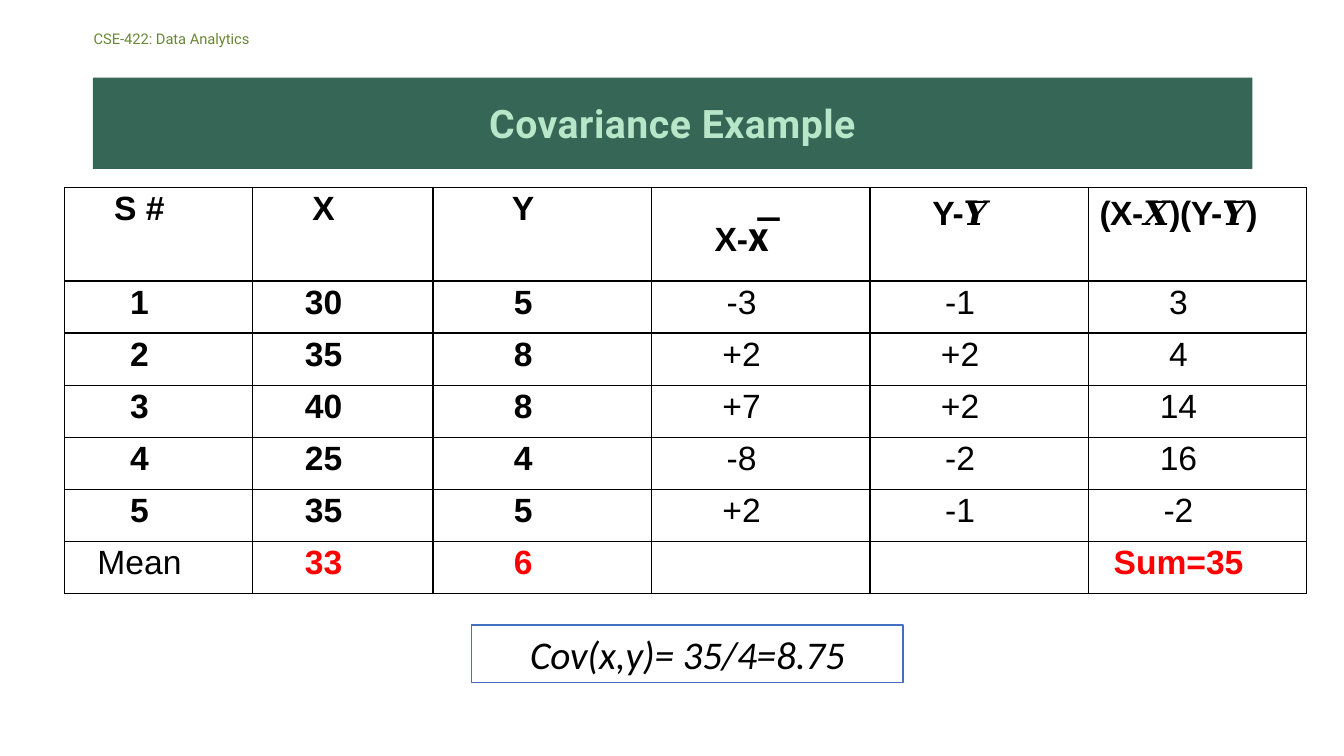
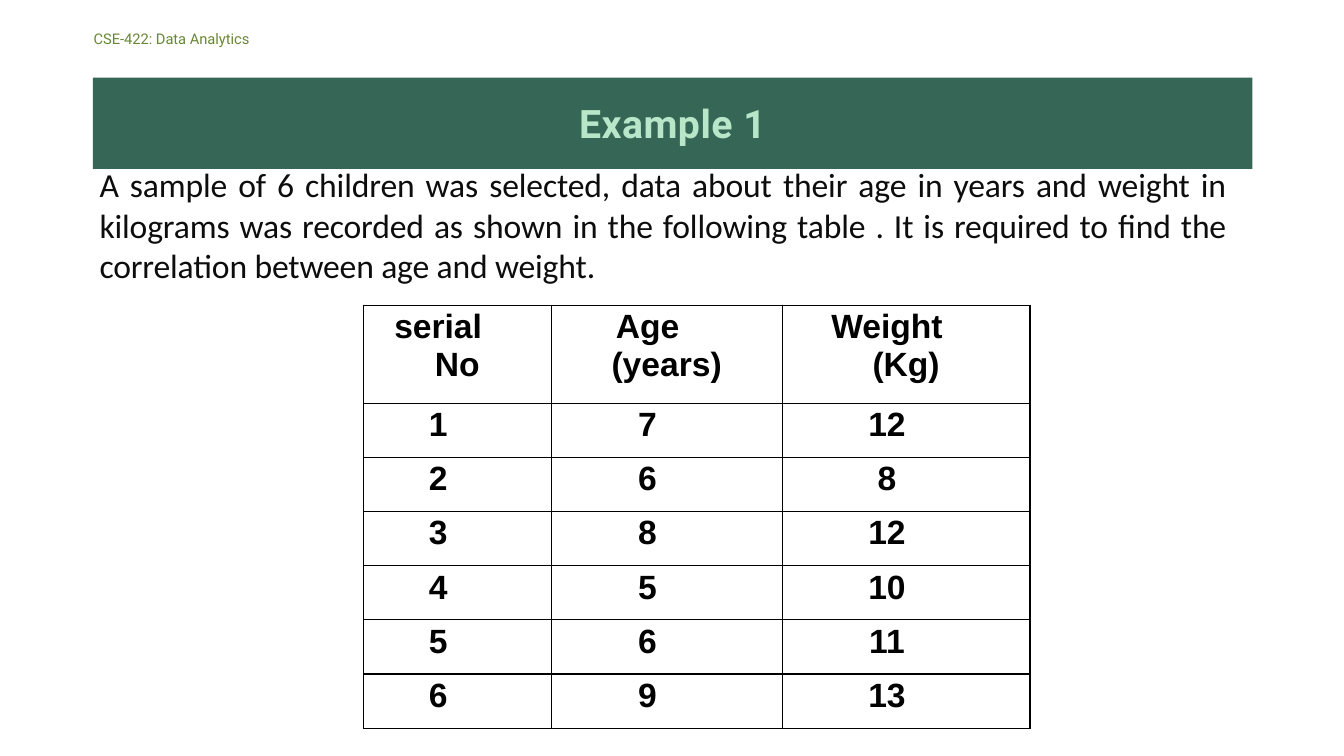
from pptx import Presentation
from pptx.dml.color import RGBColor
from pptx.enum.shapes import MSO_SHAPE as SHAPE
from pptx.enum.text import MSO_ANCHOR as ANCHOR, PP_ALIGN as ALIGN
from pptx.oxml import parse_xml
from pptx.oxml.ns import nsdecls
from pptx.util import Emu, Inches, Pt

# Grid: 32 columns by 18 rows of square units
COLS, ROWS = 32, 18
UNIT = Inches(7.5) / ROWS


def u(n):
    return Emu(round(n * UNIT))


def rgb(code):
    return RGBColor.from_string(code)


def add_run(p, text, size=24, font="Arial", color="000000", bold=False,
            italic=False, spc=0, base=0):
    r = p.add_run()
    r.text = text
    f = r.font
    f.size, f.name, f.bold, f.italic = Pt(size), font, bold, italic
    f.color.rgb = rgb(color)
    rPr = r._r.get_or_add_rPr()
    if spc:
        rPr.set("spc", str(round(spc * 100)))
    if base:
        rPr.set("baseline", str(base * 1000))


class Deck:
    BAND, MINT, OLIVE = "366656", "B8E6C9", "698737"
    BLACK, BODY, RED, BLUE = "000000", "0D0D0D", "FF0000", "4470C4"
    COURSE = "CSE-422: Data Analytics"

    def __init__(self):
        self.prs = Presentation()
        self.prs.slide_width, self.prs.slide_height = Inches(13.33), Inches(7.5)
        self.s = None

    # Slide with course name and title band
    def slide(self, title):
        self.s = self.prs.slides.add_slide(self.prs.slide_layouts[6])
        self.text(self.COURSE, 2.23, 0.72, 4.2, 0.5, size=10.5,
                  font="Roboto", color=self.OLIVE)
        self.box(2.21, 1.85, 27.6, 2.17, fill=self.BAND, text=title, size=28,
                 font="Roboto", color=self.MINT, bold=True, spc=0.4)

    def frame(self, sp, text, align, anchor, **fmt):
        tf = sp.text_frame
        tf.word_wrap = True
        tf.margin_left = tf.margin_top = tf.margin_right = tf.margin_bottom = 0
        tf.vertical_anchor = anchor
        p = tf.paragraphs[0]
        p.alignment = align
        add_run(p, text, **fmt)

    def text(self, text, x, y, w, h, align=ALIGN.LEFT, anchor=ANCHOR.TOP, **fmt):
        sp = self.s.shapes.add_textbox(u(x), u(y), u(w), u(h))
        self.frame(sp, text, align, anchor, **fmt)

    def box(self, x, y, w, h, fill=None, line=None, text=None, **fmt):
        sp = self.s.shapes.add_shape(SHAPE.RECTANGLE, u(x), u(y), u(w), u(h))
        sp.shadow.inherit = False
        if fill:
            sp.fill.solid()
            sp.fill.fore_color.rgb = rgb(fill)
        else:
            sp.fill.background()
        if line:
            sp.line.color.rgb = rgb(line)
            sp.line.width = Pt(1)
        else:
            sp.line.fill.background()
        if text:
            self.frame(sp, text, ALIGN.CENTER, ANCHOR.MIDDLE, **fmt)

    # Table cells hold lines; a line is a list of (text, format) runs
    def table(self, x, y, widths, heights, rows):
        tb = self.s.shapes.add_table(len(heights), len(widths), u(x), u(y),
                                     u(sum(widths)), u(sum(heights))).table
        tb.first_row = tb.horz_banding = False
        for col, w in zip(tb.columns, widths):
            col.width = u(w)
        for row, h in zip(tb.rows, heights):
            row.height = u(h)
        for i, row in enumerate(rows):
            for j, lines in enumerate(row):
                self.cell(tb.cell(i, j), lines)

    def cell(self, c, lines):
        c.margin_left = c.margin_bottom = 0
        c.margin_right = u(0.91)
        mixed = len(lines) == 1 and len(lines[0]) > 1
        large = mixed and any("base" in fmt for _, fmt in lines[0])
        c.margin_top = u(0 if large else 0.19 if mixed else 0.07)
        tcPr = c._tc.get_or_add_tcPr()
        for side in "LRTB":
            tcPr.append(parse_xml(
                f'<a:ln{side} {nsdecls("a")} w="12700"><a:solidFill>'
                f'<a:srgbClr val="{self.BLACK}"/></a:solidFill></a:ln{side}>'))
        c.fill.background()
        tf = c.text_frame
        for i, line in enumerate(lines):
            p = tf.add_paragraph() if i else tf.paragraphs[0]
            p.alignment = ALIGN.CENTER
            if i:  # later lines sit a little to the right
                p._p.get_or_add_pPr().set("marL", str(u(0.91)))
            for text, fmt in line:
                add_run(p, text, **fmt)


def plain(text, **fmt):
    return [[(line, fmt)] for line in text.split("\n")] if text else []


def covariance(d):
    d.slide("Covariance Example")

    # Bars over the means in the header row
    for x, w in ((22.99, 0.5), (27.31, 0.55), (29.14, 0.5)):
        d.box(x, 4.78, w, 0.05, fill=d.BLACK)

    # Header formulas
    b = dict(bold=True)
    sym = dict(font="Times New Roman")
    tight = dict(bold=True, spc=-0.3)
    head = [plain(t, **b) for t in ("S #", "X", "Y")] + [
        [[("X-", b), ("x", dict(b, size=32, font="Calibri")),
          ("̅", dict(b, size=48, font="Calibri", base=3))]],
        [[("Y-", tight), ("𝒀", sym)]],
        [[("(X-", tight), ("𝑿", sym), (")(Y-", tight), ("𝒀", sym),
          (")", tight)]],
    ]

    # Data and means
    data = [("1", "30", "5", "-3", "-1", "3"),
            ("2", "35", "8", "+2", "+2", "4"),
            ("3", "40", "8", "+7", "+2", "14"),
            ("4", "25", "4", "-8", "-2", "16"),
            ("5", "35", "5", "+2", "-1", "-2")]
    body = [[plain(t, bold=j < 3) for j, t in enumerate(row)] for row in data]
    means = [plain("Mean")] + [plain(t, bold=True, color=d.RED)
                               for t in ("33", "6", "", "", "Sum=35")]
    d.table(1.54, 4.46, [4.47, 4.3] + [5.2] * 4, [2.23] + [1.24] * 6,
            [head, *body, means])

    # Result
    d.box(11.23, 14.88, 10.27, 1.37, line=d.BLUE, text="Cov(x,y)= 35/4=8.75",
          size=28, font="Calibri", italic=True, spc=-0.1)


def correlation(d):
    d.slide("Example 1")
    d.text("A sample of 6 children was selected, data about their age in years "
           "and weight in kilograms was recorded as shown in the following "
           "table . It is required to find the correlation between age and "
           "weight.", 2.37, 3.91, 26.81, 2.95, align=ALIGN.JUSTIFY,
           font="Calibri", color=d.BODY, spc=-0.1)

    # Sample of children
    data = [("serial\nNo", "Age\n(years)", "Weight\n(Kg)"),
            ("1", "7", "12"), ("2", "6", "8"), ("3", "8", "12"),
            ("4", "5", "10"), ("5", "6", "11"), ("6", "9", "13")]
    d.table(8.65, 7.27, [4.47, 5.5, 5.9], [2.33] + [1.29] * 6,
            [[plain(t, bold=True) for t in row] for row in data])


def main():
    d = Deck()
    covariance(d)
    correlation(d)
    d.prs.save("out.pptx")


if __name__ == "__main__":
    main()
